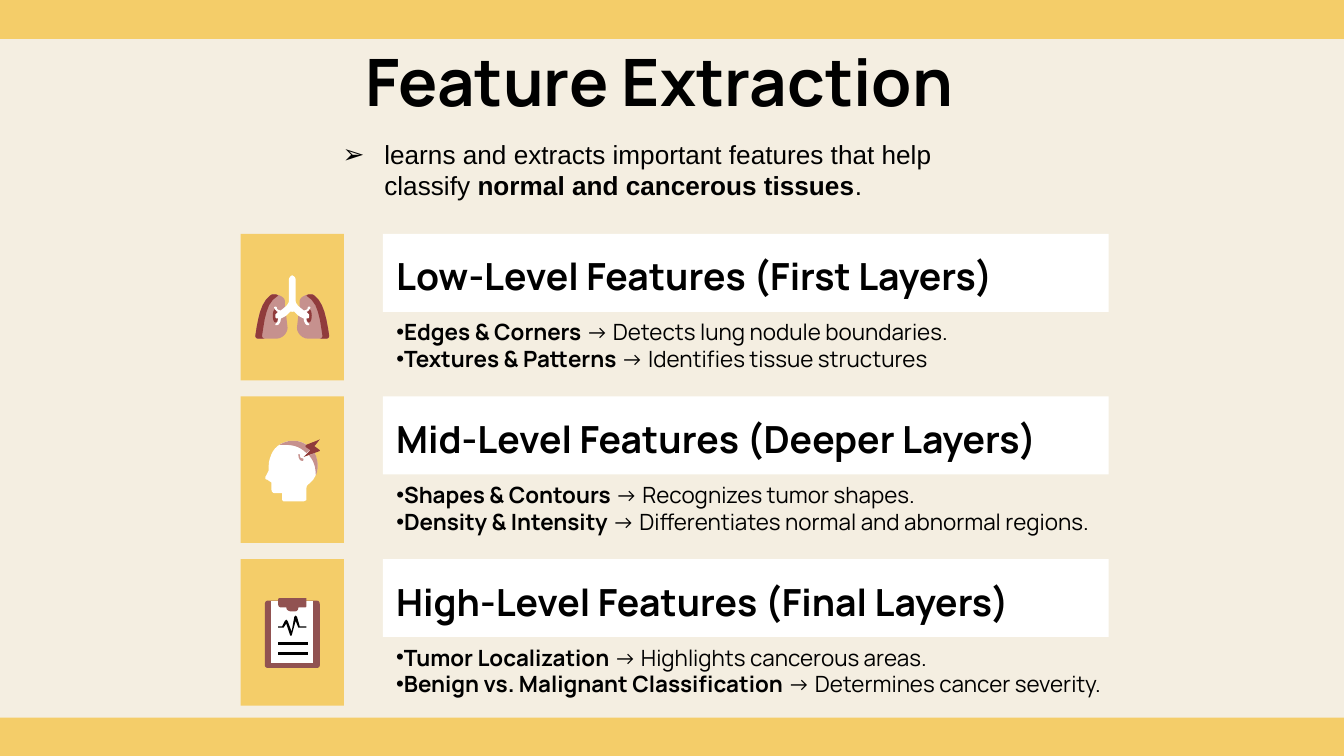
from dataclasses import dataclass
from itertools import chain

import lxml.etree
import pptx
import pptx.dml.color
import pptx.enum.shapes
import pptx.enum.text
import pptx.oxml.ns
import pptx.util

Inches = pptx.util.Inches
Pt = pptx.util.Pt
Anchor = pptx.enum.text.MSO_ANCHOR
Align = pptx.enum.text.PP_ALIGN


@dataclass(frozen=True)
class Theme:
    back: str = "F4EEE1"
    gold: str = "F4CD69"
    white: str = "FFFFFF"
    ink: str = "000000"
    pink: str = "C6918E"
    red: str = "903B3C"
    brown: str = "915251"
    face: str = "Manrope"
    plain: str = "Arial"
    title: int = 35
    head: int = 20
    intro: int = 14
    list: int = 12


LOOK = Theme()


@dataclass(frozen=True)
class Part:
    """Outline in hundredths of an inch: pairs are corners, sixes are Bezier curves."""
    color: str
    outline: tuple
    twin: bool = False


@dataclass(frozen=True)
class Level:
    head: str
    items: tuple
    width: float
    icon: tuple


def box(left, top, right, base):
    return ((left, top), (right, top), (right, base), (left, base))


LUNGS = (
    Part(LOOK.pink, (
        (231, 219), (228, 219, 223, 221, 223, 224), (223, 229),
        (224, 231, 227, 233, 230, 233), (230, 237),
        (227, 237, 224, 236, 222, 235), (221, 244),
        (221, 248, 225, 252, 229, 252), (243, 252),
        (244, 252, 245, 251, 245, 250), (243, 237, 241, 225, 234, 220),
        (233, 219, 232, 219, 231, 219)), True),
    Part(LOOK.red, (
        (231, 219), (230, 219, 229, 219, 228, 220),
        (237, 225, 238, 237, 240, 250), (240, 251, 239, 252, 238, 252),
        (243, 252), (244, 252, 245, 251, 245, 250),
        (243, 237, 241, 225, 234, 220), (233, 219, 232, 219, 231, 219)), True),
    Part(LOOK.red, (
        (230, 230), (229, 230, 228, 232, 228, 235),
        (228, 238, 229, 240, 230, 240), (231, 240, 232, 238, 232, 235),
        (232, 232, 231, 230, 230, 230)), True),
    Part(LOOK.white, (
        (218, 205), (216, 205, 215, 207, 215, 208), (215, 224),
        (215, 226, 213, 228, 209, 231), (207, 231, 206, 230, 206, 229),
        (206, 228, 204, 228, 204, 229), (205, 231, 206, 232, 207, 232),
        (205, 234), (205, 236), (205, 237, 206, 237, 207, 237),
        (207, 238, 207, 240, 205, 241), (205, 242), (206, 242),
        (208, 242, 209, 239, 209, 237), (212, 236, 214, 234, 216, 232),
        (218, 232)), True),
)
HEAD = (
    Part(LOOK.white, (
        (218, 328), (212, 328, 206, 331, 203, 336), (202, 338),
        (201, 341, 200, 343, 200, 346), (200, 347, 200, 349, 200, 350),
        (198, 354), (197, 355, 197, 357, 199, 357), (202, 359), (202, 364),
        (202, 366, 203, 367, 205, 367), (210, 367), (210, 372),
        (210, 372, 211, 373, 211, 373), (226, 373),
        (227, 373, 228, 372, 228, 372), (228, 365),
        (228, 363, 228, 361, 230, 360), (237, 355, 238, 345, 234, 337),
        (226, 340), (232, 334), (227, 332), (228, 331),
        (225, 329, 222, 328, 218, 328))),
    Part(LOOK.pink, (
        (218, 328), (215, 328, 211, 329, 208, 331), (213, 331),
        (219, 331, 224, 333, 228, 337), (232, 334), (227, 332), (228, 331),
        (225, 329, 222, 328, 218, 328))),
    Part(LOOK.pink, (
        (234, 337), (230, 339), (233, 342, 235, 347, 235, 354),
        (237, 349, 237, 342, 234, 337))),
    Part(LOOK.red, (
        (238, 327), (228, 331), (227, 332, 227, 332, 228, 333), (231, 335),
        (226, 340), (237, 336), (238, 336, 238, 335, 238, 335), (234, 332))),
    Part(LOOK.pink, (
        (223, 338), (222, 338), (222, 341, 223, 343, 225, 343),
        (226, 343, 226, 341, 225, 341), (224, 341, 223, 341, 223, 338))),
)
BOARD = (
    Part(LOOK.brown, (
        (236, 447), (199, 447), (198, 447, 197, 448, 197, 450), (197, 495),
        (197, 496, 198, 497, 199, 497), (236, 497),
        (237, 497, 238, 496, 238, 495), (238, 450),
        (238, 448, 237, 447, 236, 447))),
    Part(LOOK.white, box(202, 447, 233, 493)),
    Part(LOOK.brown, (
        (209, 445), (208, 445, 207, 445, 207, 446), (207, 450),
        (207, 451, 208, 452, 209, 452), (213, 452),
        (213, 454, 215, 455, 217, 455), (219, 455),
        (221, 455, 222, 454, 222, 452), (227, 452),
        (228, 452, 228, 451, 228, 450), (228, 446),
        (228, 445, 228, 445, 227, 445))),
    Part(LOOK.ink, (
        (220, 458), (219, 459), (217, 470), (214, 462), (213, 461),
        (212, 462), (210, 466), (207, 466), (207, 467), (211, 467),
        (213, 464), (216, 473), (217, 473), (220, 462), (222, 467),
        (228, 467), (228, 466), (223, 466), (221, 459))),
    Part(LOOK.ink, box(207, 478, 229, 480)),
    Part(LOOK.ink, box(207, 485, 229, 487)),
)
LEVELS = (
    Level("Low-Level Features (First Layers)", (
        ("Edges & Corners", " → Detects lung nodule boundaries."),
        ("Textures & Patterns", " → Identifies tissue structures")), 4.72, LUNGS),
    Level("Mid-Level Features (Deeper Layers)", (
        ("Shapes & Contours", " → Recognizes tumor shapes."),
        ("Density & Intensity", " → Differentiates normal and abnormal regions.")), 5.95, HEAD),
    Level("High-Level Features (Final Layers)", (
        ("Tumor Localization", " → Highlights cancerous areas."),
        ("Benign vs. Malignant Classification", " → Determines cancer severity.")), 5.96, BOARD),
)


def tint(name: str):
    return pptx.dml.color.RGBColor.from_string(name)


def paint(shape, color: str):
    shape.shadow.inherit = False
    shape.fill.solid()
    shape.fill.fore_color.rgb = tint(color)
    shape.line.fill.background()
    return shape


def block(slide, left: float, top: float, width: float, height: float, color: str):
    kind = pptx.enum.shapes.MSO_SHAPE.RECTANGLE
    area = map(Inches, (left, top, width, height))
    return paint(slide.shapes.add_shape(kind, *area), color)


def place(shape, left: float, top: float, width: float, height: float):
    shape.left, shape.top, shape.width, shape.height = map(
        Inches, (left, top, width, height))


def style(para, size: int, face: str, bold=None):
    para.font.size, para.font.name, para.font.bold = Pt(size), face, bold
    para.font.color.rgb = tint(LOOK.ink)


def frame(shape, anchor, inset: float):
    text = shape.text_frame
    text.word_wrap, text.vertical_anchor = True, anchor
    text.auto_size = pptx.enum.text.MSO_AUTO_SIZE.NONE
    text.margin_left = text.margin_right = Inches(0.1)
    text.margin_top = text.margin_bottom = Inches(inset)
    return text


def bullet(para, mark: str, indent: float, runs, size: int, face: str):
    """Fill a list item from (text, bold) runs."""
    props = para._p.get_or_add_pPr()
    props.set("marL", str(Inches(indent)))
    props.set("indent", str(-Inches(indent)))
    lxml.etree.SubElement(props, pptx.oxml.ns.qn("a:buFont"), typeface=LOOK.plain)
    lxml.etree.SubElement(props, pptx.oxml.ns.qn("a:buChar"), char=mark)
    para.space_before = Pt(0)
    style(para, size, face)
    for words, bold in runs:
        run = para.add_run()
        run.text, run.font.bold = words, bold


def trace(outline, steps: int = 6):
    """Turn corners and curves into points in thousandths of an inch."""
    points = [outline[0]]
    for seg in outline[1:]:
        if len(seg) == 2:
            points.append(seg)
            continue
        knots = (points[-1], seg[:2], seg[2:4], seg[4:])
        for step in range(1, steps + 1):
            t = step / steps
            rates = ((1 - t) ** 3, 3 * t * (1 - t) ** 2, 3 * t * t * (1 - t), t ** 3)
            points.append(tuple(sum(r * k[i] for r, k in zip(rates, knots)) for i in (0, 1)))
    return [(x * 10, y * 10) for x, y in points]


def draw(slide, part: Part, axis: int = 2175):
    """Draw a part, and its twin mirrored about the axis."""
    points = trace(part.outline)
    sides = [points]
    if part.twin:
        sides.append([(2 * axis - x, y) for x, y in points])
    for side in sides:
        pen = slide.shapes.build_freeform(*side[0], scale=Inches(1) / 1000)
        pen.add_line_segments(side[1:], close=True)
        yield paint(pen.convert_to_shape(), part.color)


def panel(slide, level: Level, top: float):
    block(slide, 1.79, top, 0.77, 1.09, LOOK.gold)
    head = frame(block(slide, 2.85, top, 5.4, 0.58, LOOK.white), Anchor.BOTTOM, 0.1)
    para = head.paragraphs[0]
    para.text, para.alignment = level.head, Align.LEFT
    style(para, LOOK.head, LOOK.face, True)
    parts = chain.from_iterable(draw(slide, part) for part in level.icon)
    slide.shapes.add_group_shape(list(parts))
    area = map(Inches, (2.85, top + 0.58, level.width, 0.5))
    text = frame(slide.shapes.add_textbox(*area), Anchor.MIDDLE, 0.05)
    for i, (term, note) in enumerate(level.items):
        para = text.add_paragraph() if i else text.paragraphs[0]
        bullet(para, "•", 0, ((term, True), (note, False)), LOOK.list, LOOK.face)


def main():
    deck = pptx.Presentation()
    deck.slide_width = Inches(10)
    deck.slide_height = deck.slide_width * 9 // 16
    slide = deck.slides.add_slide(deck.slide_layouts[1])
    slide.background.fill.solid()
    slide.background.fill.fore_color.rgb = tint(LOOK.back)
    for top in (0, 5.34):
        block(slide, 0, top, 10, 0.29, LOOK.gold)

    title, intro = slide.placeholders
    place(title, 0.69, 0.21, 8.43, 0.74)
    para = frame(title, Anchor.TOP, 0.1).paragraphs[0]
    para.text, para.alignment = "Feature Extraction", Align.CENTER
    style(para, LOOK.title, LOOK.face, True)

    place(intro, 2.45, 0.98, 5, 0.57)
    runs = (("learns and extracts important features that help classify ", False),
            ("normal and cancerous tissues", True), (".", False))
    para = frame(intro, Anchor.TOP, 0.05).paragraphs[0]
    bullet(para, "➢", 0.31, runs, LOOK.intro, LOOK.plain)

    for i, level in enumerate(LEVELS):
        panel(slide, level, 1.74 + 1.21 * i)
    deck.save("out.pptx")


if __name__ == "__main__":
    main()
